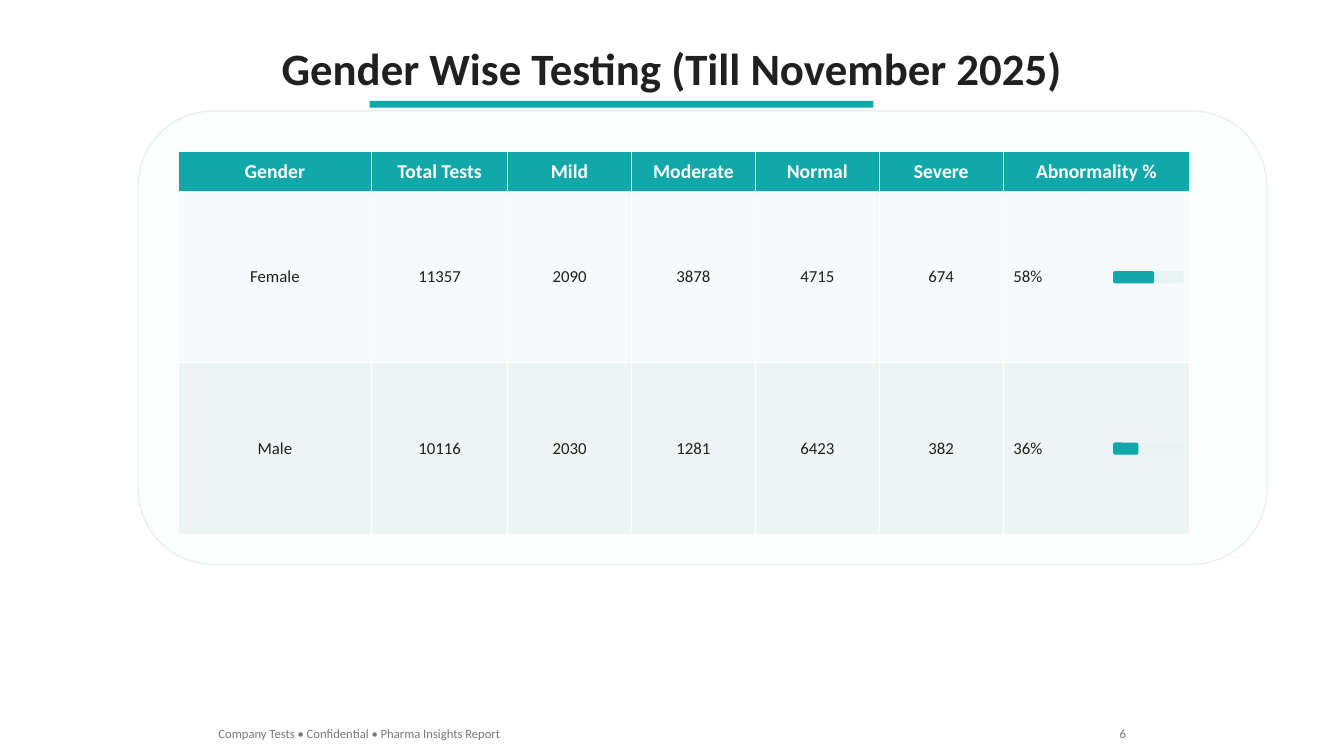
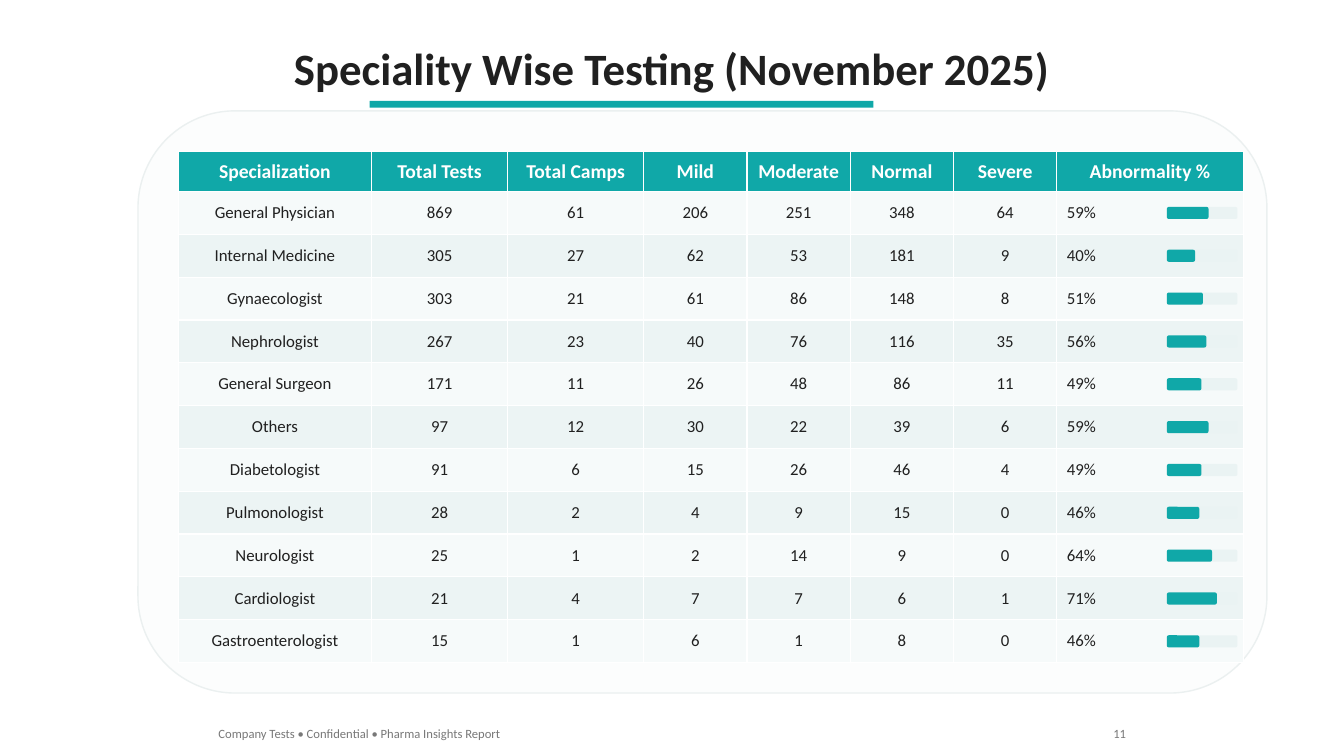
import pptx
import pptx.dml.color
import pptx.enum.shapes
import pptx.enum.text
import pptx.util

Pt = pptx.util.Pt
SHAPE = pptx.enum.shapes.MSO_SHAPE
ALIGN = pptx.enum.text.PP_ALIGN
ANCHOR = pptx.enum.text.MSO_ANCHOR

SLIDE_W, SLIDE_H = 960, 540
TABLE_X, TABLE_Y = 127.4, 108
HEADER_H = 28.8
FOOTER = "Company Tests • Confidential • Pharma Insights Report"


def rgb(hex_string):
    return pptx.dml.color.RGBColor.from_string(hex_string)


def write(tf, text, size=12, color="202020", bold=False, align=ALIGN.CENTER):
    """Put one formatted paragraph into a text frame."""
    p = tf.paragraphs[0]
    p.alignment = align
    r = p.add_run()
    r.text = text
    r.font.name = Deck.FONT
    r.font.size = Pt(size)
    r.font.bold = bold
    r.font.color.rgb = rgb(color)


class Deck:
    FONT = "Calibri"
    TEAL = "10A8A8"
    WHITE = "FFFFFF"
    GREY = "787878"
    PANEL, PANEL_LINE = "FCFDFD", "EBF0F0"
    TRACK = "EAF3F3"
    BANDS = ("F6FAFA", "ECF4F4")

    def __init__(self):
        self.prs = pptx.Presentation()
        self.prs.slide_width = Pt(SLIDE_W)
        self.prs.slide_height = Pt(SLIDE_H)
        self.s = None

    def shape(self, kind, x, y, w, h, fill, line=None):
        sp = self.s.shapes.add_shape(kind, Pt(x), Pt(y), Pt(w), Pt(h))
        sp.shadow.inherit = False
        sp.fill.solid()
        sp.fill.fore_color.rgb = rgb(fill)
        if line:
            sp.line.color.rgb = rgb(line)
            sp.line.width = Pt(1)
        else:
            sp.line.fill.background()

    def label(self, x, y, w, h, text, **fmt):
        sp = self.s.shapes.add_textbox(Pt(x), Pt(y), Pt(w), Pt(h))
        sp.text_frame.word_wrap = True
        write(sp.text_frame, text, **fmt)

    def title(self, text):
        sp = self.s.shapes.title
        sp.left, sp.top, sp.width, sp.height = Pt(120), Pt(25.2), Pt(720), Pt(46)
        tf = sp.text_frame
        tf.auto_size = pptx.enum.text.MSO_AUTO_SIZE.NONE
        tf.vertical_anchor = ANCHOR.TOP
        write(tf, text, size=32, bold=True)
        self.shape(SHAPE.RECTANGLE, 264, 72, 360, 5, self.TEAL)

    def table(self, header, rows, widths, row_h):
        total_w = sum(widths)
        total_h = HEADER_H + row_h * len(rows)
        # Rounded panel behind the table
        self.shape(SHAPE.ROUNDED_RECTANGLE, TABLE_X - 28.8, TABLE_Y - 28.8,
                   806.4, total_h + 50.4, self.PANEL, self.PANEL_LINE)
        table = self.s.shapes.add_table(
            len(rows) + 1, len(widths), Pt(TABLE_X), Pt(TABLE_Y),
            Pt(total_w), Pt(total_h)).table
        for column, width in zip(table.columns, widths):
            column.width = Pt(width)
        for i, values in enumerate([header] + rows):
            table.rows[i].height = Pt(row_h if i else HEADER_H)
            for j, value in enumerate(values):
                cell = table.cell(i, j)
                cell.vertical_anchor = ANCHOR.MIDDLE
                cell.fill.solid()
                if i == 0:
                    cell.fill.fore_color.rgb = rgb(self.TEAL)
                    write(cell.text_frame, value, size=14, color=self.WHITE, bold=True)
                    continue
                cell.fill.fore_color.rgb = rgb(self.BANDS[(i - 1) % 2])
                if j == len(values) - 1:
                    write(cell.text_frame, f"{value}%", align=ALIGN.LEFT)
                else:
                    write(cell.text_frame, str(value))
        # Percentage bars over the last column
        for i, values in enumerate(rows):
            y = TABLE_Y + HEADER_H + row_h * (i + 0.5)
            self.bar(TABLE_X + total_w - 54.7, y, values[-1])

    def bar(self, x, middle, percent):
        w, h = 50.4, 8.64
        for share, color in ((100, self.TRACK), (percent, self.TEAL)):
            self.shape(SHAPE.ROUNDED_RECTANGLE, x, middle - h / 2,
                       w * share / 100, h, color)

    def footer(self, number):
        fmt = {"size": 9, "color": self.GREY}
        self.label(149, 514.8, 260, 18, FOOTER, align=ALIGN.LEFT, **fmt)
        self.label(761.4, 514.8, 50, 18, str(number), align=ALIGN.RIGHT, **fmt)

    def table_slide(self, title, number, header, rows, widths, row_h):
        self.s = self.prs.slides.add_slide(self.prs.slide_layouts[5])
        self.title(title)
        self.table(header, rows, widths, row_h)
        self.footer(number)


def main():
    deck = Deck()
    levels = ["Mild", "Moderate", "Normal", "Severe", "Abnormality %"]

    # Testing by gender
    deck.table_slide(
        "Gender Wise Testing (Till November 2025)", 6,
        ["Gender", "Total Tests"] + levels,
        [["Female", 11357, 2090, 3878, 4715, 674, 58],
         ["Male", 10116, 2030, 1281, 6423, 382, 36]],
        [138, 97.2] + [88.5] * 4 + [133.2], 122.4)

    # Testing by speciality
    deck.table_slide(
        "Speciality Wise Testing (November 2025)", 11,
        ["Specialization", "Total Tests", "Total Camps"] + levels,
        [["General Physician", 869, 61, 206, 251, 348, 64, 59],
         ["Internal Medicine", 305, 27, 62, 53, 181, 9, 40],
         ["Gynaecologist", 303, 21, 61, 86, 148, 8, 51],
         ["Nephrologist", 267, 23, 40, 76, 116, 35, 56],
         ["General Surgeon", 171, 11, 26, 48, 86, 11, 49],
         ["Others", 97, 12, 30, 22, 39, 6, 59],
         ["Diabetologist", 91, 6, 15, 26, 46, 4, 49],
         ["Pulmonologist", 28, 2, 4, 9, 15, 0, 46],
         ["Neurologist", 25, 1, 2, 14, 9, 0, 64],
         ["Cardiologist", 21, 4, 7, 7, 6, 1, 71],
         ["Gastroenterologist", 15, 1, 6, 1, 8, 0, 46]],
        [138, 97.2, 97.2] + [73.8] * 4 + [133.2], 30.6)

    deck.prs.save("out.pptx")


if __name__ == "__main__":
    main()
